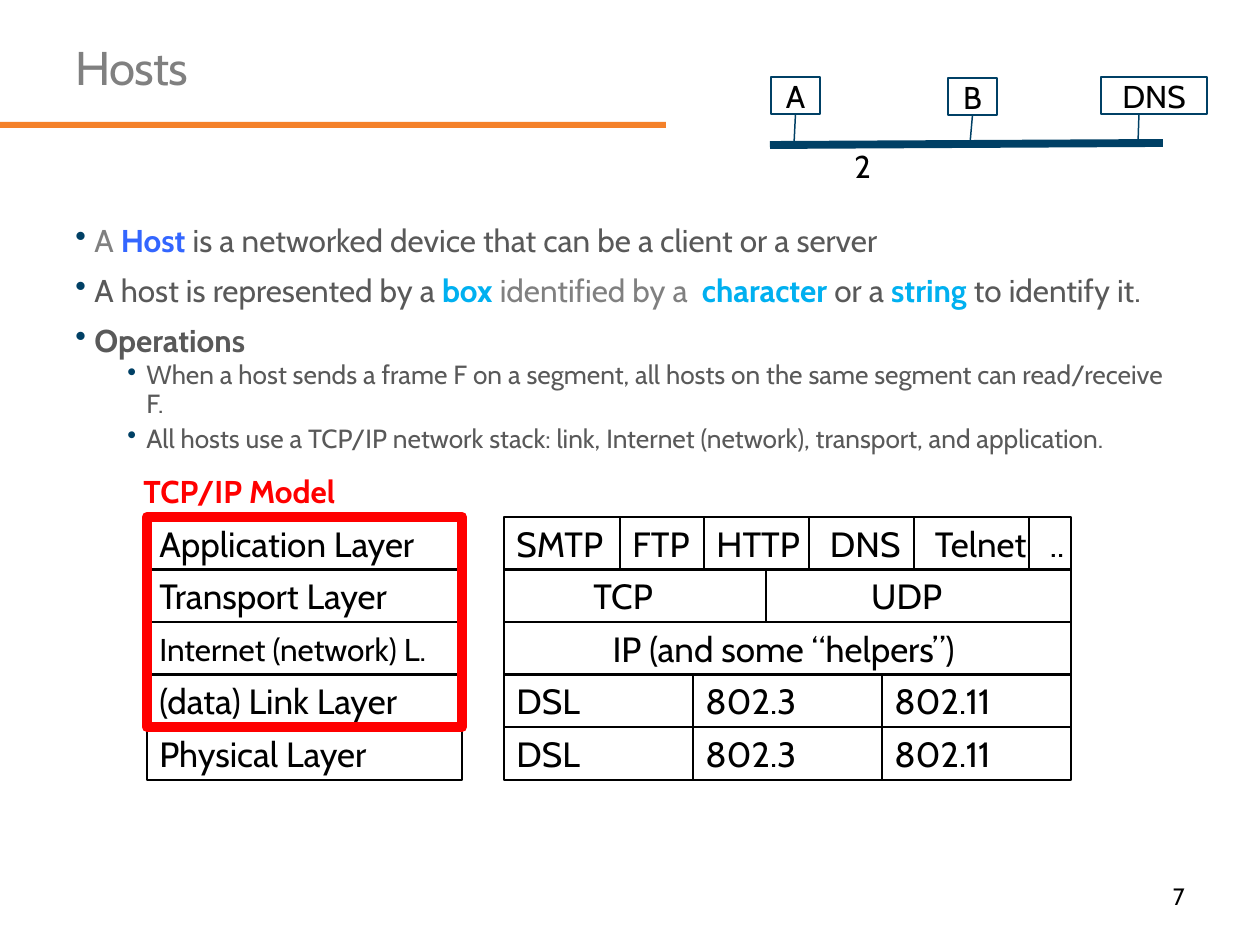
from itertools import accumulate

from lxml.etree import SubElement
from pptx import Presentation
from pptx.dml.color import RGBColor
from pptx.enum.shapes import MSO_CONNECTOR as Connector, MSO_SHAPE as Shape
from pptx.enum.text import MSO_ANCHOR as Anchor, PP_ALIGN as Align
from pptx.oxml.ns import qn
from pptx.util import Pt

PX = 914400 / 126  # EMU in one px
FONT = "Cabin"
COLORS = {
    "black": "000000", "navy": "004065", "orange": "F4812A", "red": "FF0000",
    "grey": "808080", "dark": "595959", "blue": "3366FF", "sky": "00B0F0",
}

# Bullet level: text indent, hanging indent, size and paragraph spacing
LEVELS = [
    {"indent": 19, "size": 18, "format": {"line_spacing": 0.9, "space_before": Pt(9)}},
    {"indent": 71, "size": 15, "format": {"line_spacing": 0.9, "space_before": Pt(1.9),
                                          "space_after": Pt(1.9)}},
]
HANGING = 19

# Level and runs of (text, colour, bold)
BULLETS = [
    (0, [("A", "grey", False), (" Host ", "blue", True),
         ("is a networked device that can be a client or a server", "dark", False)]),
    (0, [("A host is represented by a ", "dark", False), ("box ", "sky", True),
         ("identified by a  ", "grey", False), ("character", "sky", True),
         (" or a ", "dark", False), ("string", "sky", True),
         (" to identify it.", "dark", False)]),
    (0, [("Operations", "dark", True)]),
    (1, [("When a host sends a frame F on a segment, all hosts on the same segment "
          "can read/receive F.", "dark", False)]),
    (1, [("All hosts use a TCP/IP network stack: link, Internet (network), transport, "
          "and application.", "dark", False)]),
]

# Host: name, left, top, width, x where its link leaves, x where it meets the segment
HOSTS = [("A", 771, 77, 49, None, 794),
         ("B", 948, 78, 49, None, 970),
         ("DNS", 1101, 77, 106, 1139, 1138)]
HOST_HEIGHT = 37

# Layer: name, size, protocols as (text, width, cell format)
LEFT = {"margin_right": 0}
SPACED = {"margin_left": 21, "margin_right": 0}
CENTERED = {"align": Align.CENTER, "margin_right": 36}
MEDIA = [("DSL", 189, LEFT), ("802.3", 189, LEFT), ("802.11", 189, LEFT)]
LAYERS = [
    ("Application Layer", 20, [("SMTP", 116, LEFT), ("FTP", 84, LEFT), ("HTTP", 105, LEFT),
                               ("DNS", 105, SPACED), ("Telnet", 115, SPACED),
                               ("..", 42, SPACED)]),
    ("Transport Layer", 20, [("TCP", 262, CENTERED), ("UDP", 305, CENTERED)]),
    ("Internet (network) L.", 18, [("IP (and some “helpers”)", 567,
                                    {"align": Align.CENTER, "margin_right": 20})]),
    ("(data) Link Layer", 20, MEDIA),
    ("Physical Layer", 20, MEDIA),
]
STACK_TOP, ROW_PITCH, ROW_HEIGHT = 517, 52.5, 53
LAYER_LEFT, LAYER_WIDTH, PROTOCOL_LEFT = 147, 315, 504


def emu(*lengths):
    return [round(length * PX) for length in lengths]


def rgb(color):
    return RGBColor.from_string(COLORS[color])


def apply(target, formats):
    for name, value in formats.items():
        setattr(target, name, value)


def add_run(paragraph, text, size, color="black", bold=False):
    run = paragraph.add_run()
    run.text = text
    apply(run.font, {"name": FONT, "size": Pt(size), "bold": bold})
    run.font.color.rgb = rgb(color)
    return run


def add_label(slide, text, box, size, color="black", bold=False, align=Align.LEFT, wrap=False):
    frame = slide.shapes.add_textbox(*emu(*box)).text_frame
    frame.word_wrap = wrap
    frame.paragraphs[0].alignment = align
    add_run(frame.paragraphs[0], text, size, color, bold)


def add_box(slide, box, line=None, weight=0.75, fill=None):
    rect = slide.shapes.add_shape(Shape.RECTANGLE, *emu(*box))
    rect.shadow.inherit = False
    if fill:
        rect.fill.solid()
        rect.fill.fore_color.rgb = rgb(fill)
    else:
        rect.fill.background()
    if line:
        rect.line.color.rgb = rgb(line)
        rect.line.width = Pt(weight)
    else:
        rect.line.fill.background()
    return rect


def add_cell(slide, text, box, size, line="black", align=Align.LEFT, wrap=False, **margins):
    rect = add_box(slide, box, line)
    frame = rect.text_frame
    apply(frame, {"word_wrap": wrap, "vertical_anchor": Anchor.MIDDLE})
    apply(frame, {side: emu(margin)[0] for side, margin in margins.items()})
    frame.paragraphs[0].alignment = align
    add_run(frame.paragraphs[0], text, size)
    return rect


def add_line(slide, start, end, weight):
    line = slide.shapes.add_connector(Connector.STRAIGHT, *emu(*start, *end))
    line.line.color.rgb = rgb("navy")
    line.line.width = Pt(weight)
    SubElement(line._element.spPr, qn("a:effectLst"))
    return line


def add_title(slide, text):
    title = slide.shapes.title
    apply(title, dict(zip(("left", "top", "width", "height"), emu(63, 38, 490, 84))))
    apply(title.text_frame, {"vertical_anchor": Anchor.TOP, "word_wrap": True})
    heading = title.text_frame.paragraphs[0]
    apply(heading, {"alignment": Align.LEFT, "line_spacing": 0.9})
    run = add_run(heading, text, 27, "grey")
    run._r.get_or_add_rPr().set("spc", "-50")


def add_bullets(slide, box):
    frame = slide.shapes.add_textbox(*emu(*box)).text_frame
    frame.word_wrap = True
    for index, (level, runs) in enumerate(BULLETS):
        style = LEVELS[level]
        item = frame.add_paragraph() if index else frame.paragraphs[0]
        properties = item._p.get_or_add_pPr()
        indent, hanging = emu(style["indent"], HANGING)
        properties.set("marL", str(indent))
        properties.set("indent", str(-hanging))
        bullet_color = SubElement(properties, qn("a:buClr"))
        SubElement(bullet_color, qn("a:srgbClr"), val=COLORS["navy"])
        SubElement(properties, qn("a:buChar"), char="•")
        apply(item, {"level": level, **style["format"]})
        if not index:
            item.space_before = Pt(0)
        for text, color, bold in runs:
            add_run(item, text, style["size"], color, bold)


def add_network(slide):
    add_line(slide, (770, 145), (1163, 143), 4.5)
    for name, left, top, width, exit_x, segment_x in HOSTS:
        host = add_cell(slide, name, (left, top, width, HOST_HEIGHT), 18, "navy",
                        Align.CENTER, wrap=True)
        start = (exit_x or left + width / 2, top + HOST_HEIGHT)
        link = add_line(slide, start, (segment_x, 144), 0.85)
        if exit_x is None:
            link.begin_connect(host, 2)
    add_label(slide, "2", (842, 141, 42, 50), 18)


def add_stack(slide):
    for row, (layer, size, protocols) in enumerate(LAYERS):
        top = int(STACK_TOP + row * ROW_PITCH)
        add_cell(slide, layer, (LAYER_LEFT, top, LAYER_WIDTH, ROW_HEIGHT), size)
        lefts = accumulate((width for _, width, _ in protocols), initial=PROTOCOL_LEFT)
        for left, (protocol, width, cell_format) in zip(lefts, protocols):
            add_cell(slide, protocol, (left, top, width, ROW_HEIGHT), 20, **cell_format)
    # Frame around the four TCP/IP layers
    add_box(slide, (LAYER_LEFT, STACK_TOP, LAYER_WIDTH, 4 * ROW_PITCH), "red", 6)
    add_label(slide, "TCP/IP Model", (131, 466, 234, 50), 18, "red", bold=True)


def main():
    deck = Presentation()
    deck.slide_width, deck.slide_height = emu(1260, 945)
    slide = deck.slides.add_slide(deck.slide_layouts[5])
    add_box(slide, (0, 122, 666, 6), fill="orange")
    add_title(slide, "Hosts")
    add_bullets(slide, (63, 219, 1134, 257))
    add_label(slide, "7", (903, 876, 294, 50), 13.5, align=Align.RIGHT, wrap=True)
    add_network(slide)
    add_stack(slide)
    deck.save("out.pptx")


if __name__ == "__main__":
    main()
